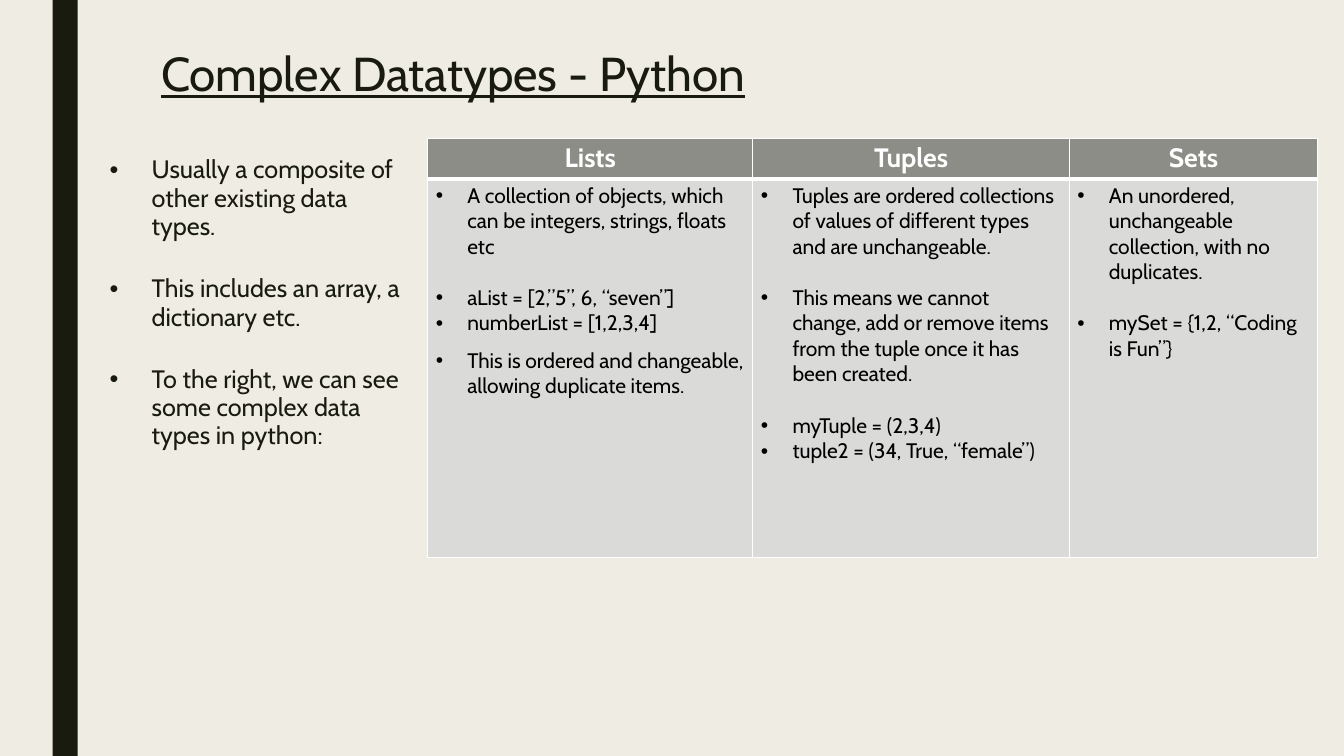
from dataclasses import dataclass

from lxml import etree
from pptx import Presentation
from pptx.dml.color import RGBColor
from pptx.enum.shapes import MSO_SHAPE
from pptx.enum.text import MSO_ANCHOR, PP_ALIGN
from pptx.oxml.ns import qn
from pptx.util import Pt

RECTANGLE = MSO_SHAPE.RECTANGLE
TOP = MSO_ANCHOR.TOP
LEFT, CENTER = PP_ALIGN.LEFT, PP_ALIGN.CENTER


@dataclass(frozen=True)
class Theme:
    font: str = "Cabin"
    background: str = "EFEDE3"
    dark: str = "191B0E"
    header_fill: str = "8C8D86"
    body_fill: str = "DADBD9"
    white: str = "FFFFFF"
    black: str = "000000"
    title_size: int = 34
    intro_size: int = 18
    header_size: int = 19
    body_size: int = 15


def write_paragraph(frame, text, *, size, color, font, bold=False, underline=False,
                    align=LEFT, line_spacing=1.0, before=0, hanging=0):
    first = frame.paragraphs[0]
    paragraph = frame.add_paragraph() if first.runs else first
    paragraph.alignment = align
    paragraph.line_spacing = line_spacing
    paragraph.space_before = Pt(before)
    paragraph.space_after = Pt(0)
    if hanging:
        properties = paragraph._p.get_or_add_pPr()
        properties.set("marL", str(Pt(hanging)))
        properties.set("indent", str(-Pt(hanging)))
        etree.SubElement(properties, qn("a:buFont"), typeface="Arial")
        etree.SubElement(properties, qn("a:buChar"), char="•")
    run = paragraph.add_run()
    run.text = text
    run.font.name = font
    run.font.size = Pt(size)
    run.font.bold = bold
    run.font.underline = underline
    run.font.color.rgb = RGBColor.from_string(color)


class SlideBuilder:
    def __init__(self, slide, theme):
        self.slide = slide
        self.theme = theme
        self.paint(slide.background.fill, theme.background)

    def paint(self, fill, color):
        fill.solid()
        fill.fore_color.rgb = RGBColor.from_string(color)

    def bar(self, left, top, width, height):
        stripe = self.slide.shapes.add_shape(
            RECTANGLE, Pt(left), Pt(top), Pt(width), Pt(height))
        stripe.shadow.inherit = False
        self.paint(stripe.fill, self.theme.dark)
        stripe.line.fill.background()

    def text(self, left, top, width, height, paragraphs, **style):
        frame = self.slide.shapes.add_textbox(
            Pt(left), Pt(top), Pt(width), Pt(height)).text_frame
        frame.word_wrap = True
        frame.vertical_anchor = TOP
        for content, before in paragraphs:
            write_paragraph(frame, content, before=before, color=self.theme.dark,
                            font=self.theme.font, **style)

    def border(self, cell, widths):
        properties = cell._tc.get_or_add_tcPr()
        for side, width in widths.items():
            edge = etree.SubElement(properties, qn(f"a:ln{side}"), w=str(Pt(width)))
            fill = etree.SubElement(edge, qn("a:solidFill"))
            etree.SubElement(fill, qn("a:srgbClr"), val=self.theme.white)

    def cell(self, cell, paragraphs, fill, widths, **style):
        cell.margin_left = cell.margin_right = Pt(5.8)
        cell.margin_top = cell.margin_bottom = Pt(2.9)
        cell.vertical_anchor = TOP
        self.border(cell, widths)
        self.paint(cell.fill, fill)
        for content, before in paragraphs:
            write_paragraph(cell.text_frame, content, before=before,
                            font=self.theme.font, **style)

    def table(self, left, top, columns, widths, heights):
        theme = self.theme
        table = self.slide.shapes.add_table(
            2, len(columns), Pt(left), Pt(top), Pt(sum(widths)), Pt(sum(heights))).table
        table.first_row = False
        table.horz_banding = False
        for row, height in zip(table.rows, heights):
            row.height = Pt(height)
        for index, (heading, points) in enumerate(columns.items()):
            table.columns[index].width = Pt(widths[index])
            self.cell(table.cell(0, index), [(heading, 0)], theme.header_fill,
                      {"L": 1, "R": 1, "T": 1, "B": 3}, size=theme.header_size,
                      color=theme.white, bold=True, align=CENTER)
            self.cell(table.cell(1, index), points, theme.body_fill,
                      {"L": 1, "R": 1, "T": 3, "B": 1}, size=theme.body_size,
                      color=theme.black, hanging=22.5)


INTRO_GAP = 24
LINE_GAP = 18.25
SMALL_GAP = 8.5

INTRO = [
    ("Usually a composite of other existing data types.", 0),
    ("This includes an array, a dictionary etc.", INTRO_GAP),
    ("To the right, we can see some complex data types in python:", INTRO_GAP),
]

DATATYPES = {
    "Lists": [
        ("A collection of objects, which can be integers, strings, floats etc", 0),
        ("aList = [2,”5”, 6, “seven”]", LINE_GAP),
        ("numberList = [1,2,3,4]", 0),
        ("This is ordered and changeable, allowing duplicate items.", SMALL_GAP),
    ],
    "Tuples": [
        ("Tuples are ordered collections of values of different types "
         "and are unchangeable.", 0),
        ("This means we cannot change, add or remove items from the tuple "
         "once it has been created.", LINE_GAP),
        ("myTuple = (2,3,4)", LINE_GAP),
        ("tuple2 = (34, True, “female”)", 0),
    ],
    "Sets": [
        ("An unordered, unchangeable collection, with no duplicates.", 0),
        ("mySet = {1,2, “Coding is Fun”}", LINE_GAP),
    ],
}


def main():
    presentation = Presentation()
    presentation.slide_width = Pt(960)
    presentation.slide_height = Pt(540)
    theme = Theme()
    builder = SlideBuilder(
        presentation.slides.add_slide(presentation.slide_layouts[6]), theme)
    builder.bar(37.5, 0, 18, 540)
    builder.text(108, 33, 443, 117, [("Complex Datatypes - Python", 0)],
                 size=theme.title_size, underline=True, line_spacing=0.89)
    builder.text(71.3, 108, 227, 282, INTRO,
                 size=theme.intro_size, line_spacing=0.94, hanging=30)
    builder.table(305.5, 98.8, DATATYPES, [232.3, 226, 177.5], [29, 270.7])
    presentation.save("out.pptx")


if __name__ == "__main__":
    main()
